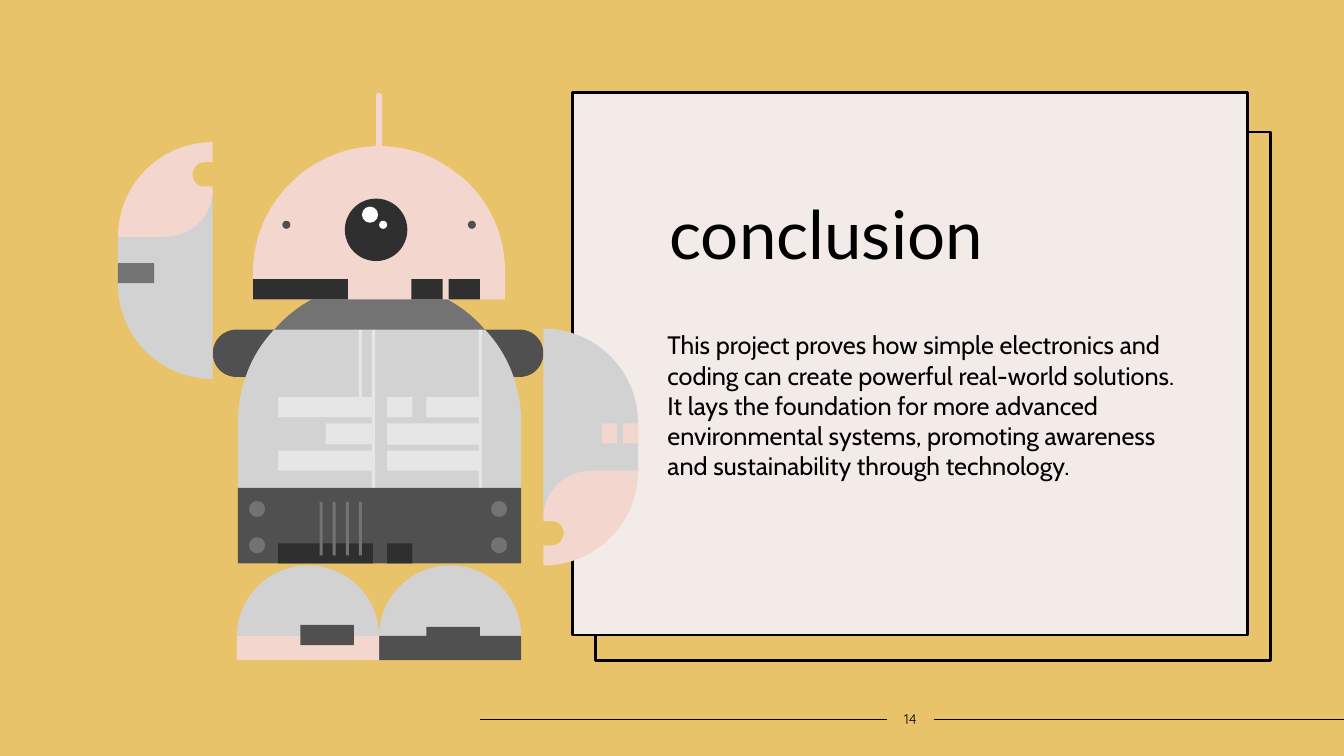
from dataclasses import dataclass

from lxml.etree import SubElement
from pptx import Presentation
from pptx.dml.color import RGBColor
from pptx.enum.shapes import MSO_CONNECTOR, MSO_SHAPE
from pptx.enum.text import MSO_ANCHOR, MSO_AUTO_SIZE, PP_ALIGN
from pptx.oxml.ns import qn
from pptx.util import Inches, Pt


@dataclass
class Theme:
    mustard: str = "E9C369"
    paper: str = "F3EBE8"
    ink: str = "000000"
    pink: str = "F3D6CD"
    white: str = "FFFFFF"
    pale: str = "E6E6E6"
    silver: str = "D2D2D2"
    gray: str = "737373"
    slate: str = "505050"
    coal: str = "2F2F2F"
    title_size: int = 48
    body_size: int = 18
    number_size: int = 10


theme = Theme()
deck = Presentation()
deck.slide_width, deck.slide_height = Inches(13.33), Inches(7.5)
CELL = deck.slide_height / 75  # square grid: 75 rows, 133.3 columns
page = deck.slides.add_slide(deck.slide_layouts[1])
page.background.fill.solid()
page.background.fill.fore_color.rgb = RGBColor.from_string(theme.mustard)


def part(preset, color, left, top, width, height, edge=None):
    """Add a preset shape placed in grid cells."""
    shape = page.shapes.add_shape(preset, *(round(n * CELL) for n in (left, top, width, height)))
    shape.shadow.inherit = False
    shape.fill.solid()
    shape.fill.fore_color.rgb = RGBColor.from_string(color)
    if edge:
        shape.line.color.rgb = RGBColor.from_string(edge)
        shape.line.width = Pt(2)
    else:
        shape.line.fill.background()
    return shape


def outline(color, start, *segments, turned=False, shift=0):
    """Add a closed outline: 2 numbers make a line, 6 a cubic curve."""
    points = [start]
    for segment in segments:
        if len(segment) == 2:
            points.append(segment)
            continue
        knots = [points[-1], segment[:2], segment[2:4], segment[4:]]
        for step in range(1, 17):
            t = step / 16
            weights = ((1 - t) ** 3, 3 * t * (1 - t) ** 2, 3 * t * t * (1 - t), t ** 3)
            points.append(tuple(sum(w * k[axis] for w, k in zip(weights, knots)) for axis in (0, 1)))
    if turned:  # half turn about the point between the arms
        points = [(75 - x, 70.2 - y) for x, y in points]
    points = [(round((x + shift) * CELL), round(y * CELL)) for x, y in points]
    builder = page.shapes.build_freeform(*points[0])
    builder.add_line_segments(points[1:], close=True)
    shape = builder.convert_to_shape()
    shape.shadow.inherit = False
    shape.fill.solid()
    shape.fill.fore_color.rgb = RGBColor.from_string(color)
    shape.line.fill.background()


RECT, OVAL = MSO_SHAPE.RECTANGLE, MSO_SHAPE.OVAL

# Card with its offset frame
part(RECT, theme.mustard, 59.1, 13.1, 66.9, 52.4, edge=theme.ink)
part(RECT, theme.paper, 56.8, 9.2, 66.9, 53.8, edge=theme.ink)

# Footer rules
for start, end in ((47.6, 88), (92.6, 133.3)):
    rule = page.shapes.add_connector(
        MSO_CONNECTOR.STRAIGHT, *(round(n * CELL) for n in (start, 71.4, end, 71.4)))
    rule.line.color.rgb = RGBColor.from_string(theme.ink)
    rule.line.width = Pt(1)
    SubElement(rule._element.spPr, qn("a:effectLst"))

# Title, body and page number
title, body = page.placeholders
number = page.shapes.add_textbox(0, 0, 0, 0)
texts = (
    (title, (65.4, 19.5, 54.2, 12.7), "conclusion", "Lato", theme.title_size),
    (body, (65.2, 32.2, 52.7, 23.3),
     "This project proves how simple electronics and coding can create powerful "
     "real-world solutions. It lays the foundation for more advanced environmental "
     "systems, promoting awareness and sustainability through technology.",
     "Cabin", theme.body_size),
    (number, (88.3, 70, 4, 2.7), "14", "Quicksand", theme.number_size),
)
for box, place, text, font, size in texts:
    page.shapes.element.append(box.element)  # keep text above the card
    box.left, box.top, box.width, box.height = (round(n * CELL) for n in place)
    frame = box.text_frame
    frame.text = text
    frame.word_wrap = True
    frame.auto_size = MSO_AUTO_SIZE.NONE
    frame.vertical_anchor = MSO_ANCHOR.TOP
    para = frame.paragraphs[0]
    para.alignment = PP_ALIGN.LEFT
    para.space_before = Pt(0)
    if box is body:
        properties = para._p.get_or_add_pPr()
        properties.set("marL", "0")
        properties.set("indent", "0")
        SubElement(properties, qn("a:buNone"))
    para.font.name, para.font.size = font, Pt(size)
    para.font.color.rgb = RGBColor.from_string(theme.ink)
title.text_frame.paragraphs[0].line_spacing = 0.9
number.text_frame.paragraphs[0].alignment = PP_ALIGN.CENTER
number.text_frame.vertical_anchor = MSO_ANCHOR.MIDDLE
number.text_frame.margin_left = number.text_frame.margin_right = 0

# Shoulders, with the inner ends behind the torso
for left, width in ((44.5, 9.4), (21.1, 11.8)):
    shoulder = part(MSO_SHAPE.ROUNDED_RECTANGLE, theme.slate, left, 32.7, width, 4.7)
    shoulder.adjustments[0] = 0.5

# Torso and chest panels
outline(theme.silver, (48.1, 32.7), (48.1, 32.7, 46.7, 31.9, 37.5, 31.9),
        (28.3, 31.9, 27.2, 32.7, 27.2, 32.7), (24.9, 35.1, 23.6, 38.4, 23.6, 42), (23.6, 48.4),
        (23.6, 48.4, 24.7, 50.3, 37.5, 50.3), (50.3, 50.3, 51.7, 48.4, 51.7, 48.4),
        (51.7, 42), (51.7, 38.4, 50.4, 35.1, 48.1, 32.7))
outline(theme.pale, (36.9, 39.4), (35.9, 39.4), (35.9, 32.4), (35.6, 32.4), (35.6, 39.4),
        (27.6, 39.4), (27.6, 41.4), (36.9, 41.4), (36.9, 42), (32.3, 42), (32.3, 44.1),
        (36.9, 44.1), (36.9, 44.7), (27.6, 44.7), (27.6, 46.7), (36.9, 46.7), (36.9, 48.7),
        (37.2, 48.7), (37.2, 32.4), (36.9, 32.4))
outline(theme.pale, (47.5, 32.5), (47.5, 39.4), (42.3, 39.4), (42.3, 41.4), (47.5, 41.4),
        (47.5, 42), (38.4, 42), (38.4, 44.1), (47.5, 44.1), (47.5, 44.7), (38.4, 44.7),
        (38.4, 46.7), (47.5, 46.7), (47.5, 48.7), (47.8, 48.7), (47.8, 32.5))
part(RECT, theme.pale, 38.4, 39.4, 2.5, 2)

# Belt with vents, bolts and slots
part(RECT, theme.slate, 23.6, 48.4, 28.1, 7.5)
for left, width in ((27.6, 9.4), (38.4, 2.5)):
    part(RECT, theme.coal, left, 53.9, width, 2)
for left in (48.7, 24.7):
    for top in (49.7, 53.3):
        part(OVAL, theme.gray, left, top, 1.6, 1.6)
for slot in range(4):
    part(RECT, theme.gray, 31.7 + 1.3 * slot, 49.8, 0.3, 5.3)

# Neck
outline(theme.gray, (37.6, 28), (33.5, 28, 29.7, 29.8, 27.2, 32.7), (48.1, 32.7),
        (45.6, 29.8, 41.8, 28, 37.6, 28))

# Arms: the raised one is the lowered one given a half turn
for raised in (False, True):
    outline(theme.silver, (53.9, 51.4), (58.6, 51.4), (61.2, 51.4, 63.3, 49.3, 63.3, 46.7),
            (63.3, 42), (63.3, 36.8, 59.1, 32.6, 53.9, 32.6), turned=raised)
    outline(theme.pink, (58.6, 46.7), (56, 46.7, 53.9, 48.8, 53.9, 51.4), (53.9, 51.7),
            (54.8, 51.7), (55.4, 51.7, 55.9, 52.2, 55.9, 52.9),
            (55.9, 53.5, 55.4, 54.1, 54.8, 54.1), (53.9, 54.1), (53.9, 56.1),
            (59.1, 56.1, 63.3, 51.9, 63.3, 46.7), turned=raised)
for left in (61.8, 59.7):
    part(RECT, theme.pink, left, 42, 1.5, 2)
part(RECT, theme.gray, 11.7, 26.1, 3.6, 2)

# Feet
for left, sole, buckle_left, buckle_top in (
        (37.6, theme.slate, 42.3, 62.2), (23.5, theme.pink, 29.8, 62)):
    outline(theme.silver, (0, 63.1), (0, 59.2, 3.2, 56.1, 7.05, 56.1),
            (10.9, 56.1, 14.1, 59.2, 14.1, 63.1), (14.1, 63.1, 12.3, 64.7, 7.05, 64.7),
            (1.8, 64.7, 0, 63.1, 0, 63.1), shift=left)
    part(RECT, sole, left, 63.1, 14.1, 2.4)
    part(RECT, theme.slate, buckle_left, buckle_top, 5.3, 2)

# Head: dome, cheeks, eye, jaw and antenna
outline(theme.pink, (46.6, 18.3), (46.2, 17.9, 45.8, 17.5, 45.3, 17.2),
        (43.2, 15.5, 40.6, 14.5, 37.6, 14.5), (34.7, 14.5, 32.1, 15.5, 29.9, 17.2),
        (29.5, 17.5, 29.1, 17.9, 28.7, 18.3), (26.5, 20.5, 25.1, 23.6, 25.1, 27),
        (25.1, 29.7), (50.1, 29.7), (50.1, 27), (50.1, 23.6, 48.8, 20.5, 46.6, 18.3))
for color, left, top, size in (
        (theme.slate, 46.4, 21.9, 0.8), (theme.slate, 28, 21.9, 0.8),
        (theme.coal, 34.2, 19.7, 6.2), (theme.white, 37.6, 21.9, 0.8),
        (theme.white, 35.9, 20.5, 1.6)):
    part(OVAL, color, left, top, size, size)
for left, width in ((25.1, 9.4), (44.5, 3.1), (40.8, 3.1)):
    part(RECT, theme.coal, left, 27.7, width, 2)
antenna = part(MSO_SHAPE.ROUNDED_RECTANGLE, theme.pink, 37.3, 9.2, 0.6, 6.1)
antenna.adjustments[0] = 0.5

deck.save("out.pptx")
